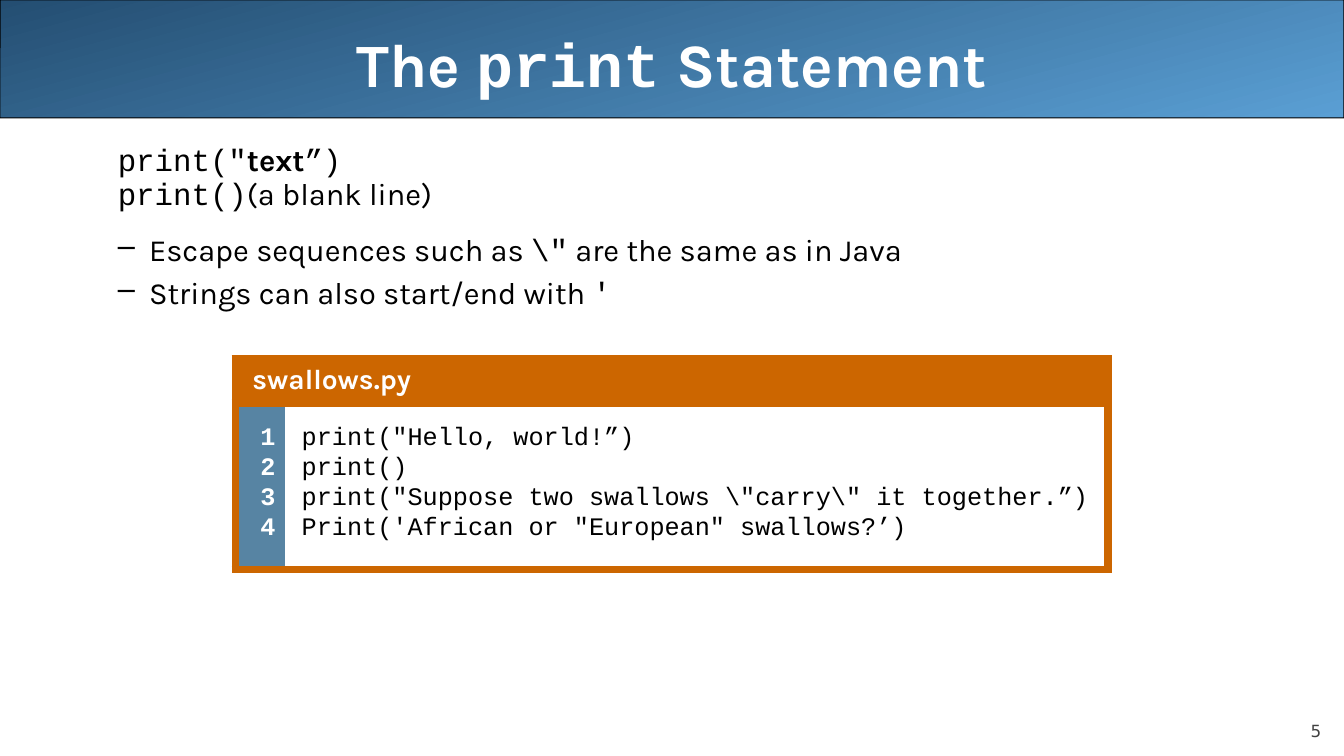
from lxml import etree
from pptx import Presentation
from pptx import util as u
from pptx.dml.color import RGBColor
from pptx.enum import shapes, text
from pptx.oxml.ns import qn

COLORS = {
    "navy": "244E72", "sky": "5A9FD4", "orange": "CC6600", "steel": "5784A3",
    "white": "FFFFFF", "black": "000000", "grey": "424242",
}
SANS, MONO = "Karla", "Courier New"
LEFT, RIGHT, CENTER = text.PP_ALIGN.LEFT, text.PP_ALIGN.RIGHT, text.PP_ALIGN.CENTER


def color(name):
    return RGBColor.from_string(COLORS[name])


def write(frame, spans, size, ink="black", bold=False, align=LEFT, before=0,
          leading=1.0, margin=0, indent=0, bullet=None):
    first = not frame.paragraphs[0].runs
    para = frame.paragraphs[0] if first else frame.add_paragraph()
    para.alignment = align
    para.line_spacing = leading
    para.space_before = u.Pt(0 if first else before)
    props = para._p.get_or_add_pPr()
    props.set("marL", str(u.Inches(margin)))
    props.set("indent", str(u.Inches(indent)))
    if bullet:
        etree.SubElement(props, qn("a:buChar")).set("char", bullet)
    else:
        etree.SubElement(props, qn("a:buNone"))
    for words, font, *heavy in spans:
        span = para.add_run()
        span.text = words
        span.font.name = font
        span.font.size = u.Pt(size)
        span.font.bold = bold or bool(heavy)
        span.font.color.rgb = color(ink)


deck = Presentation()
deck.slide_width, deck.slide_height = u.Emu(12192000), u.Emu(6858000)
W, H = deck.slide_width, deck.slide_height
page = deck.slides.add_slide(deck.slide_layouts[6])

band = page.shapes.add_shape(
    shapes.MSO_SHAPE.ROUNDED_RECTANGLE, 0, 0, W, int(H * 0.156))
band.adjustments[0] = 0.001
band.shadow.inherit = False
band.fill.gradient()
band.fill.gradient_angle = 285
for stop, shade, place in zip(band.fill.gradient_stops, ("navy", "sky"), (0, 1)):
    stop.color.rgb = color(shade)
    stop.position = place
band.line.color.rgb = color("black")
band.line.width = u.Pt(0.75)

areas = {
    "number": (0.9, 0.927, 0.083, 0.053, text.MSO_ANCHOR.BOTTOM),
    "title": (0.05, 0, 0.9, 0.167, text.MSO_ANCHOR.MIDDLE),
    "body": (0.033, 0.19, 0.95, 0.722, text.MSO_ANCHOR.TOP),
}
frames = {}
for name, (left, top, width, height, anchor) in areas.items():
    box = page.shapes.add_textbox(
        int(W * left), int(H * top), int(W * width), int(H * height))
    frames[name] = box.text_frame
    box.text_frame.word_wrap = True
    box.text_frame.vertical_anchor = anchor

number = frames["number"]
number.margin_left = number.margin_right = number.margin_top = number.margin_bottom = 0
write(number, [("5", "DejaVu Sans")], 12, ink="grey", align=RIGHT)
write(frames["title"], [("The ", SANS), ("print", MONO), (" Statement", SANS)],
      44, ink="white", bold=True, align=CENTER)

body_lines = [
    ([('print("', MONO), ("text", SANS, True), ("”)", MONO)], 0.77, 0, None),
    ([("print()", MONO), ("(a blank line)", SANS)], 0.77, 4.4, None),
    ([("Escape sequences such as ", SANS), ('\\"', MONO),
      (" are the same as in Java", SANS)], 1.0, 13.4, "–"),
    ([("Strings can also start/end with ", SANS), ("'", MONO)], 1.0, 4.4, "–"),
]
for spans, leading, before, bullet in body_lines:
    write(frames["body"], spans, 22, leading=leading, before=before,
          margin=0.94, indent=-0.31, bullet=bullet)

code_lines = [
    'print("Hello, world!”)',
    "print()",
    'print("Suppose two swallows \\"carry\\" it together.”)',
    "Print('African or \"European\" swallows?’)",
]
line_numbers = [str(n + 1) for n in range(len(code_lines))]

table = page.shapes.add_table(
    2, 2, int(W * 0.175), int(H * 0.475), int(W * 0.65), int(H * 0.27)).table
for column, width in zip(table.columns, (0.49, 8.17)):
    column.width = u.Inches(width)
for row, height in zip(table.rows, (0.42, 1.6)):
    row.height = u.Inches(height)
table.cell(0, 0).merge(table.cell(0, 1))

cells = [
    (0, 0, "orange", "LTRB", 0.05, 0.05, ["swallows.py"],
     dict(size=20, ink="white", bold=True), SANS),
    (0, 1, "orange", "LTRB", 0.05, 0.05, [], {}, SANS),
    (1, 0, "steel", "LTB", 0.23, 0.09, line_numbers,
     dict(size=18, ink="white", bold=True, align=RIGHT, leading=0.87), MONO),
    (1, 1, "white", "TRB", 0.23, 0.18, code_lines,
     dict(size=18, leading=0.87), MONO),
]
for row, column, shade, sides, gap, right, lines, style, font in cells:
    cell = table.cell(row, column)
    cell.margin_left, cell.margin_right = u.Inches(0.05), u.Inches(right)
    cell.margin_top = cell.margin_bottom = u.Inches(gap)
    for words in lines:
        write(cell.text_frame, [(words, font)], before=3.6, margin=0.12, **style)
    props = cell._tc.get_or_add_tcPr()
    for side in "LRTB":
        edge = etree.SubElement(props, qn("a:ln" + side))
        if side in sides:
            edge.set("w", str(u.Pt(6)))
            paint = etree.SubElement(edge, qn("a:solidFill"))
            etree.SubElement(paint, qn("a:srgbClr")).set("val", COLORS["orange"])
        else:
            edge.set("w", "0")
            etree.SubElement(edge, qn("a:noFill"))
    cell.fill.solid()
    cell.fill.fore_color.rgb = color(shade)

deck.save("out.pptx")
